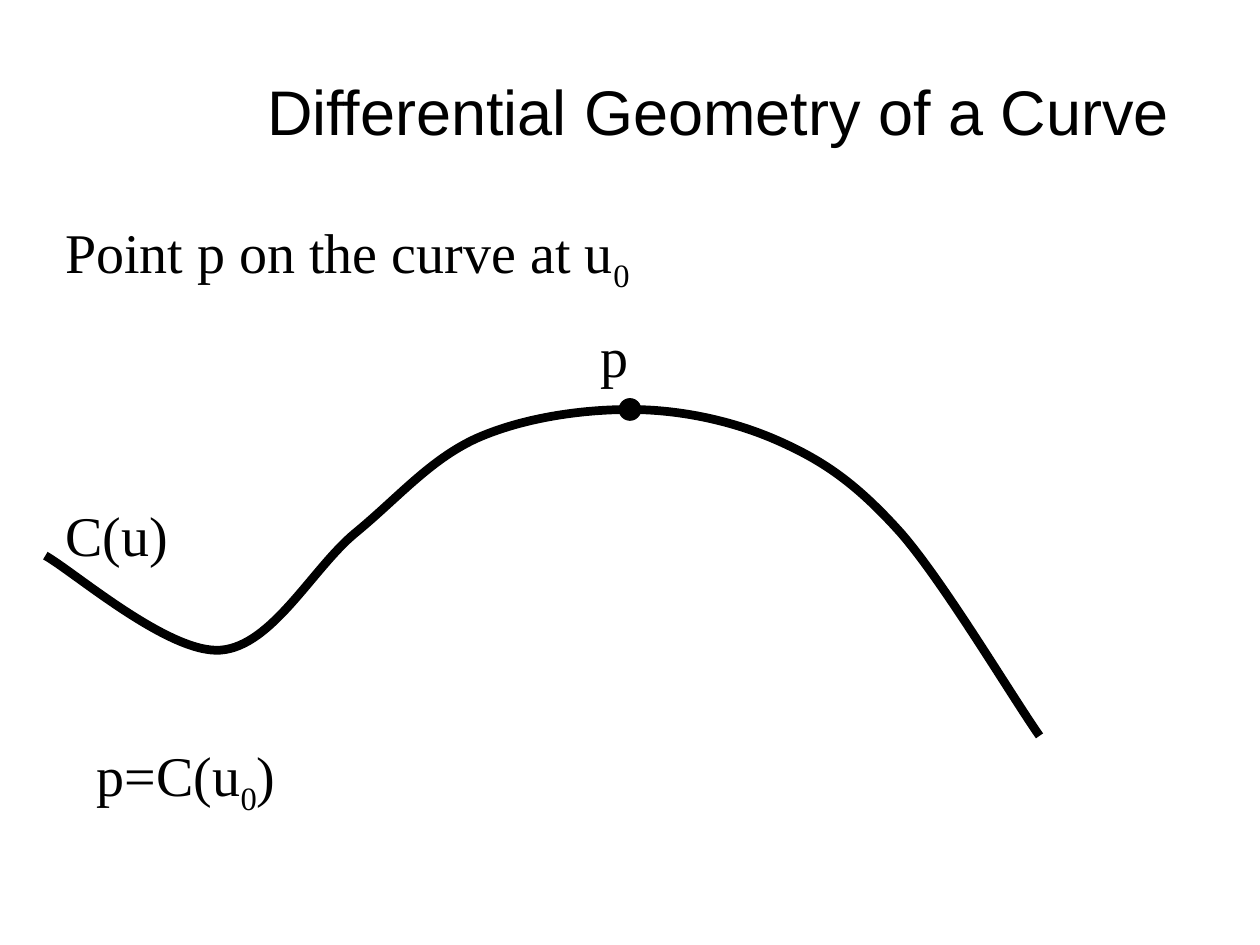
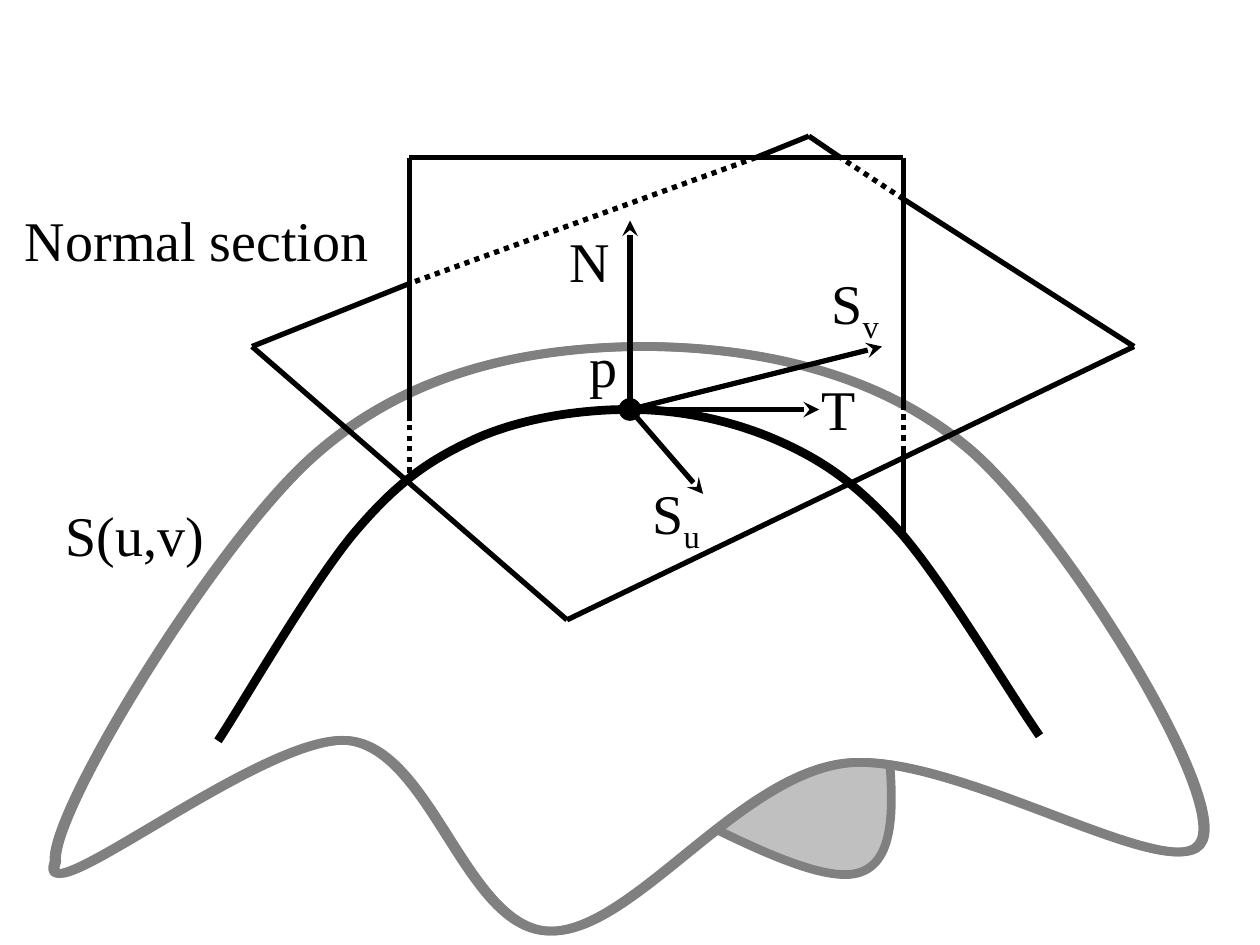
"""Build two slides on the differential geometry of curves and surfaces."""
import lxml.etree
import pptx
import pptx.dml.color
import pptx.enum.dml
import pptx.enum.shapes
import pptx.enum.text
import pptx.oxml.ns
import pptx.util

Inches = pptx.util.Inches
Pt = pptx.util.Pt
qn = pptx.oxml.ns.qn

COLORS = {"ink": "000000", "edge": "808080", "fold": "C0C0C0", "paper": "FFFFFF"}
TITLE_FONT, LABEL_FONT = "Arial", "Times New Roman"
CURVE_WIDTH, LINE_WIDTH = 5, 3
P = (5, 3.25)

CREST = [(3.41, 3.65), (3.78, 3.48), (4.14, 3.32), (4.6, 3.25), P,
         (5.4, 3.25), (5.82, 3.34), (6.18, 3.5), (6.54, 3.66), (6.8, 3.84),
         (7.15, 4.23), (7.49, 4.62), (8.02, 5.51), (8.25, 5.84)]
WAVE = [(0.36, 4.41), (0.59, 4.54), (1.34, 5.19), (1.75, 5.16), (2.16, 5.13),
        (2.48, 4.51), (2.82, 4.23), (3.16, 3.95)] + CREST
ARCH = [(1.73, 5.88), (1.91, 5.61), (2.48, 4.62), (2.82, 4.22), (3.16, 3.82)] + CREST
FOLD = [(0.63, 6.84), (0.58, 6.46), (1.91, 4.29), (2.69, 3.61), (3.46, 2.93),
        (4.44, 2.73), (5.28, 2.76), (6.11, 2.78), (7, 3.14), (7.7, 3.79),
        (8.4, 4.45), (9.55, 6.47), (9.46, 6.69), (9.38, 6.9), (7.64, 5.05),
        (7.18, 5.09), (6.73, 5.13), (7.45, 6.87), (6.75, 6.94), (6.06, 7),
        (4.03, 5.49), (3.01, 5.48), (1.98, 5.46), (1.13, 6.55), (0.63, 6.84)]
SURFACE = [(0.45, 6.84), (0.4, 6.46), (1.73, 4.29), (2.51, 3.61), (3.28, 2.93),
           (4.23, 2.76), (5.09, 2.75), (5.96, 2.75), (6.97, 2.93), (7.72, 3.58),
           (8.46, 4.23), (9.72, 6.26), (9.55, 6.67), (9.38, 7.09), (7.57, 5.94),
           (6.7, 6.06), (5.84, 6.18), (5.01, 7.42), (4.36, 7.39), (3.71, 7.36),
           (3.44, 5.97), (2.79, 5.88), (2.14, 5.79), (0.27, 7.32), (0.45, 6.84)]
SURFACE_FRONT = [(x - 0.02, y) for x, y in SURFACE]

NORMAL_PLANE = {
    "solid": [((3.25, 3.33), (3.25, 1.25)), ((7.17, 3.25), (7.17, 1.25)),
              ((7.17, 1.25), (3.25, 1.25)), ((7.17, 4.25), (7.17, 3.58))],
    "dotted": [((7.17, 3.58), (7.17, 3.25)), ((3.25, 3.75), (3.25, 3.33))],
}
TANGENT_PLANE = {
    "solid": [((4.5, 4.92), (2, 2.75)), ((9, 2.75), (4.5, 4.92)),
              ((6.42, 1.08), (6, 1.25)), ((9, 2.75), (7.17, 1.58)),
              ((6.67, 1.25), (6.42, 1.08)), ((3.25, 2.25), (2, 2.75))],
    "dotted": [((7.17, 1.58), (6.67, 1.25)), ((6, 1.25), (3.25, 2.25))],
}


def rgb(name):
    """Return a named colour."""
    return pptx.dml.color.RGBColor.from_string(COLORS[name])


def set_line(line, color, width):
    """Give a line its colour and width in points."""
    line.color.rgb = rgb(color)
    line.width = Pt(width)


def set_font(p, name, size):
    """Give a paragraph its font."""
    p.font.name = name
    p.font.size = Pt(size)
    p.font.color.rgb = rgb("ink")


def add_title(s, text):
    """Add the slide title."""
    tf = s.shapes.add_textbox(Inches(1.45), Inches(0.25), Inches(8.5), Inches(1.25)).text_frame
    tf.word_wrap = True
    tf.vertical_anchor = pptx.enum.text.MSO_ANCHOR.MIDDLE
    p = tf.paragraphs[0]
    p.text = text
    p.alignment = pptx.enum.text.PP_ALIGN.CENTER
    set_font(p, TITLE_FONT, 36)


def add_label(s, text, left, top, width):
    """Add a label in which text between underscores is subscript."""
    tf = s.shapes.add_textbox(Inches(left), Inches(top), Inches(width), Inches(0.63)).text_frame
    tf.word_wrap = False
    tf.auto_size = pptx.enum.text.MSO_AUTO_SIZE.SHAPE_TO_FIT_TEXT
    p = tf.paragraphs[0]
    p.space_before = Pt(3.6)
    set_font(p, LABEL_FONT, 32)
    for i, part in enumerate(text.split("_")):
        r = p.add_run()
        r.text = part
        if i % 2:
            r.font._element.set("baseline", "-25000")


def add_curve(shapes, points, color="ink", fill=None):
    """Draw a Bezier curve from a start point and triples of control points."""
    start, *rest = [(Inches(x), Inches(y)) for x, y in points]
    builder = shapes.build_freeform(*start)
    builder.add_line_segments(rest, close=points[0] == points[-1])
    sp = builder.convert_to_shape()
    segments = list(sp._element.iter(qn("a:lnTo")))
    for first, *others in zip(segments[::3], segments[1::3], segments[2::3]):
        first.tag = qn("a:cubicBezTo")
        for other in others:
            first.append(other[0])
            other.getparent().remove(other)
    sp.shadow.inherit = False
    if fill:
        sp.fill.solid()
        sp.fill.fore_color.rgb = rgb(fill)
    else:
        sp.fill.background()
    set_line(sp.line, color, CURVE_WIDTH)


def add_point(s, center, size=0.17):
    """Draw a dot."""
    left, top = (Inches(c - size / 2) for c in center)
    sp = s.shapes.add_shape(pptx.enum.shapes.MSO_SHAPE.OVAL, left, top, Inches(size), Inches(size))
    sp.shadow.inherit = False
    sp.fill.solid()
    sp.fill.fore_color.rgb = rgb("ink")
    set_line(sp.line, "ink", 0.75)


def add_line(shapes, start, end, dotted=False, arrow=False):
    """Draw a straight line, dotted or with an arrowhead if asked."""
    sp = shapes.add_connector(pptx.enum.shapes.MSO_CONNECTOR.STRAIGHT,
                              *(Inches(c) for c in start + end))
    set_line(sp.line, "ink", LINE_WIDTH)
    if dotted:
        sp.line.dash_style = pptx.enum.dml.MSO_LINE.ROUND_DOT
    if arrow:
        lxml.etree.SubElement(sp.line._get_or_add_ln(), qn("a:tailEnd"), type="stealth")
    lxml.etree.SubElement(sp._element.spPr, qn("a:effectLst"))


def add_plane(s, plane):
    """Draw a plane outline as a group of solid and dotted lines."""
    group = s.shapes.add_group_shape()
    for style, edges in plane.items():
        for start, end in edges:
            add_line(group.shapes, start, end, dotted=style == "dotted")


def build_curve_slide(s):
    """Build the slide on a point of a curve."""
    add_title(s, "Differential Geometry of a Curve")
    add_point(s, P)
    add_curve(s.shapes, WAVE)
    for label in [("p", 4.67, 2.5, 0.42), ("C(u)", 0.42, 3.92, 1.02),
                  ("p=C(u_0_)", 0.67, 5.83, 1.63),
                  ("Point p on the curve at u_0", 0.42, 1.68, 4.8)]:
        add_label(s, *label)


def build_surface_slide(s):
    """Build the slide on the normal section of a surface."""
    group = s.shapes.add_group_shape()
    add_curve(group.shapes, FOLD, "edge", "fold")
    add_curve(group.shapes, SURFACE, "edge", "paper")
    add_point(s, P)
    add_curve(s.shapes, ARCH)
    add_curve(s.shapes, SURFACE_FRONT, "edge")
    for tip in [(6.5, 3.25), (5.58, 3.92), (5, 1.75), (7, 2.75)]:
        add_line(s.shapes, P, tip, arrow=True)
    add_plane(s, NORMAL_PLANE)
    add_plane(s, TANGENT_PLANE)
    for label in [("S(u,v)", 0.42, 3.92, 1.3), ("N", 4.42, 1.75, 0.52),
                  ("p", 4.58, 2.58, 0.42), ("S_u", 5.08, 3.75, 0.59),
                  ("S_v", 6.5, 2.08, 0.59), ("T", 6.42, 2.92, 0.47),
                  ("Normal section", 0.1, 1.58, 2.93)]:
        add_label(s, *label)


def main():
    """Build and save the presentation."""
    prs = pptx.Presentation()
    prs.slide_width, prs.slide_height = Inches(10), Inches(7.5)
    for build in (build_curve_slide, build_surface_slide):
        build(prs.slides.add_slide(prs.slide_layouts[6]))
    prs.save("out.pptx")


if __name__ == "__main__":
    main()
